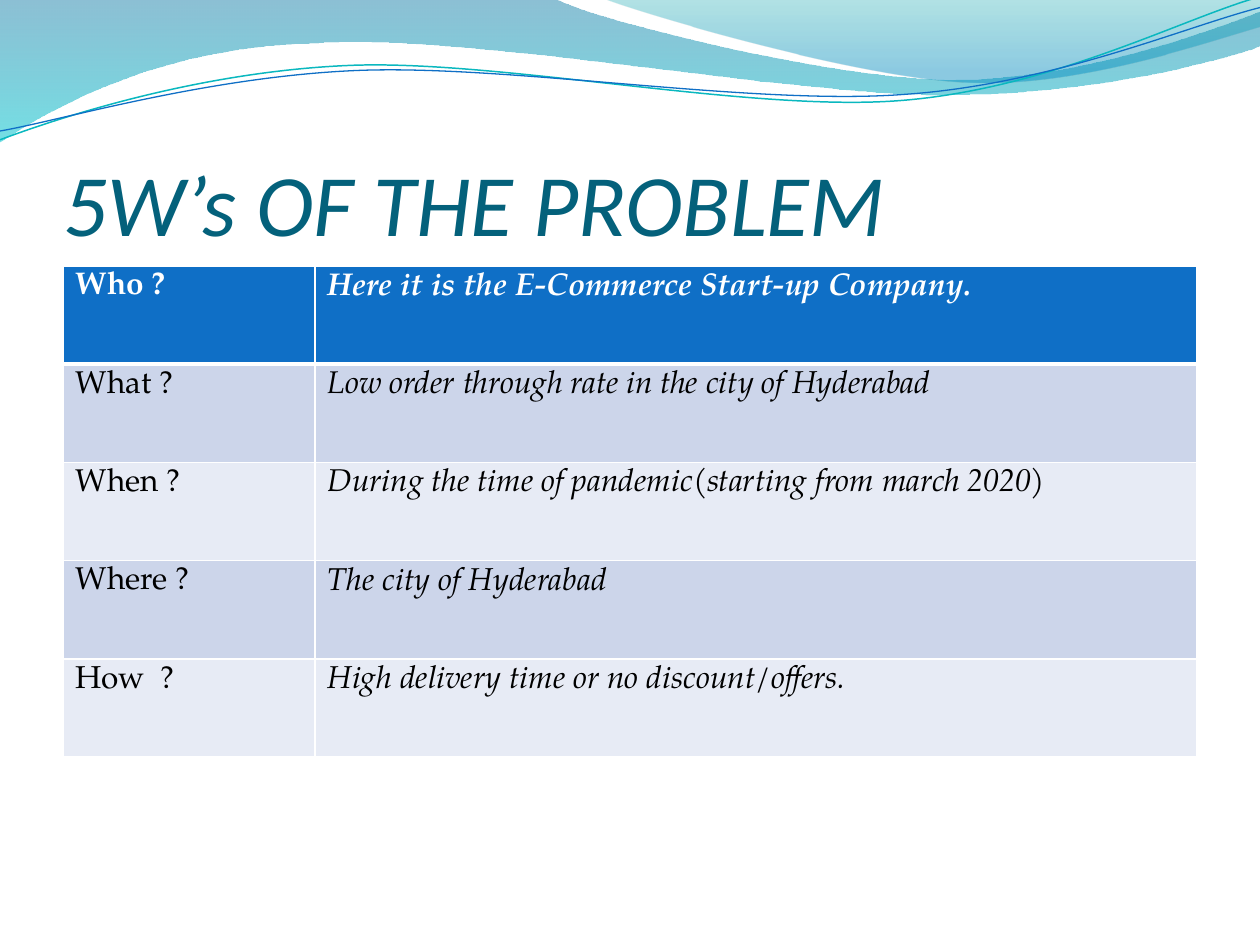
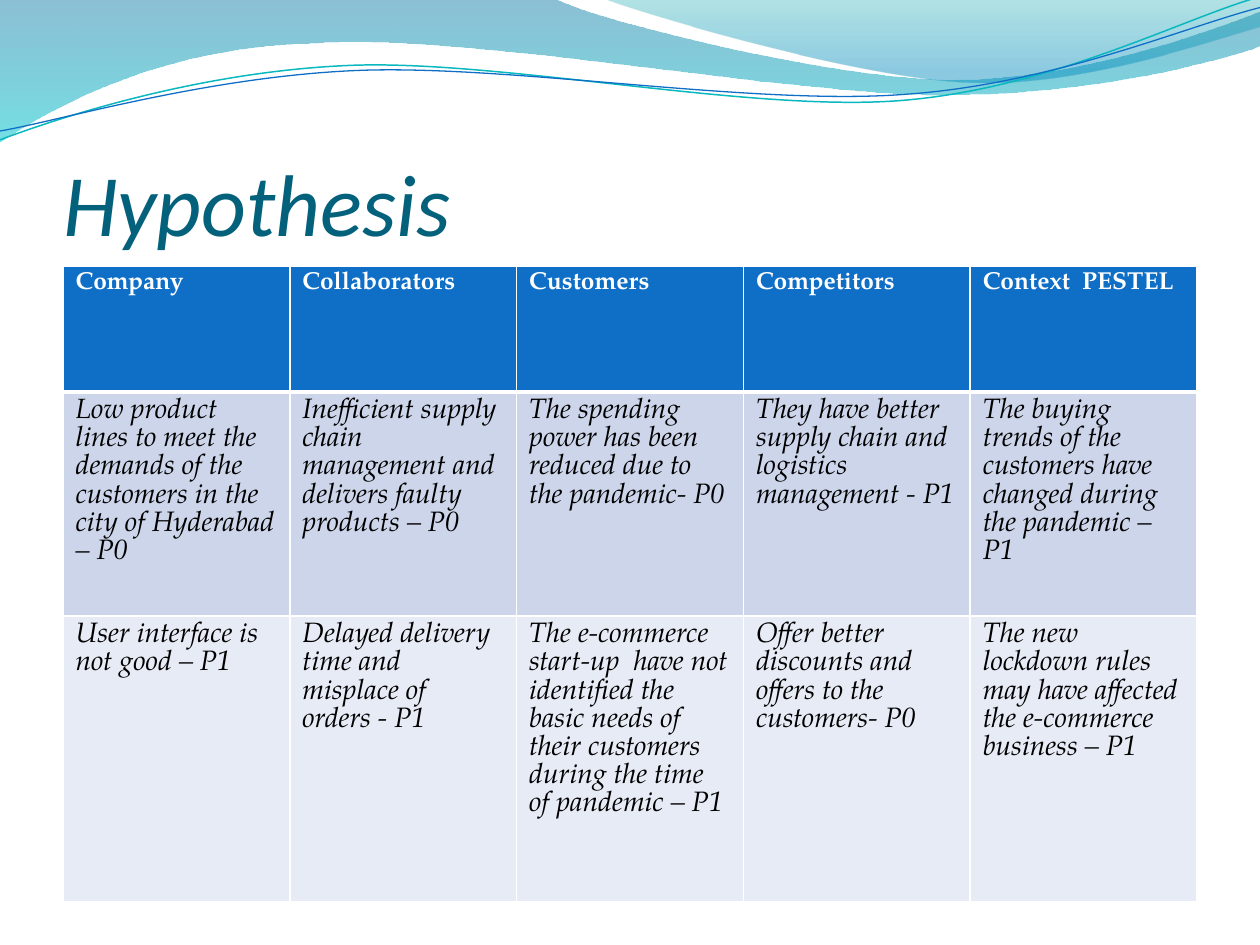
import lxml.etree
import pptx
import pptx.dml.color
import pptx.enum.text
import pptx.oxml.ns
import pptx.util

Inches = pptx.util.Inches
Pt = pptx.util.Pt
qn = pptx.oxml.ns.qn

TEXT = "TeX Gyre Pagella"
BLUE, TEAL, INK, WHITE, BLACK = "0F6FC6", "0AB8BF", "04617B", "FFFFFF", "000000"
BANDS = ["CCD5EA", "E7EBF5"]
HARD = chr(160)  # no-break space

# A wave starts at a point; two numbers add a line, six add a curve.
WAVES = [
    {"start": (0, 0), "steps": [
        (4.4, -0.01),
        (4.76, 0.17, 6.64, 0.63, 7.58, 0.63),
        (8.53, 0.63, 9.58, 0.26, 10, 0.09),
        (10.01, 0.36),
        (9.83, 0.44, 8.7, 0.76, 7.46, 0.75),
        (6.22, 0.75, 3.82, 0.28, 2.57, 0.34),
        (1.29, 0.36, 0.46, 0.83, -0.01, 1.13),
        (0, 0)],
     "stops": [(0, "0074A1", 45), (1, "00C6CF", 55)]},
    {"start": (4.79, -0.01), "steps": [
        (5.09, 0.11, 6.82, 0.62, 7.69, 0.65),
        (8.56, 0.69, 9.61, 0.32, 10, 0.21),
        (10, 0),
        (4.79, -0.01)],
     "stops": [(0, "00A1A9", 30), (0.8, "008BBF", 45)]},
    {"start": (0, 1.11), "steps": [
        (0.48, 0.93, 1.58, 0.57, 2.77, 0.52),
        (3.95, 0.47, 5.93, 0.89, 7.13, 0.8),
        (8.33, 0.71, 9.38, 0.15, 9.98, -0.02)],
     "line": (TEAL, 0.85)},
    {"start": (0, 1.04), "steps": [
        (0.47, 0.96, 1.64, 0.61, 2.83, 0.56),
        (4.03, 0.51, 5.97, 0.84, 7.17, 0.75),
        (8.36, 0.67, 9.41, 0.21, 10, 0.06)],
     "line": (BLUE, 0.75)},
]

FIVE = [
    ["Who ?", "Here it is the E-Commerce Start-up Company."],
    ["What ?", f"Low order through rate{HARD}in the city of Hyderabad"],
    ["When ?", "During the time of pandemic(starting from march 2020)"],
    ["Where ?", "The city of Hyderabad"],
    ["How  ?", "High delivery time or no discount/offers."],
]
CAUSES = [
    ["Company", "Collaborators", "Customers", "Competitors", "Context  PESTEL"],
    ["Low product lines to meet the demands of the customers in the city of Hyderabad – P0",
     "Inefficient supply chain management and delivers faulty products – P0",
     "The spending power has been reduced due to the pandemic- P0",
     f"They have better supply chain and logistics management{HARD}- P1",
     "The buying trends of the customers have changed during the pandemic – P1"],
    ["User interface is not good – P1",
     f"Delayed delivery time and misplace of orders{HARD}- P1",
     "The e-commerce start-up  have not identified the basic needs of  "
     "their customers during the time of pandemic – P1",
     "Offer better discounts and offers to the customers- P0",
     "The new lockdown rules may have affected the e-commerce business – P1"],
]


def rgb(code):
    return pptx.dml.color.RGBColor.from_string(code)


def apply(thing, values):
    for name, value in values.items():
        setattr(thing, name, value)


def bend(shape, steps):
    """Join each three segments that stand for a curve into one curve."""
    nodes = iter(list(shape.element.iter(qn("a:lnTo"))))
    for step in steps:
        node = next(nodes)
        if len(step) == 6:
            node.tag = qn("a:cubicBezTo")
            for other in (next(nodes), next(nodes)):
                node.append(other[0])
                other.getparent().remove(other)


class Deck:
    def __init__(self):
        self.prs = pptx.Presentation()
        self.prs.slide_width, self.prs.slide_height = Inches(10), Inches(7.5)
        self.layout = self.prs.slide_layouts.get_by_name("Title Only")
        self.slide = None

    def page(self, title):
        first = self.slide is None
        self.slide = self.prs.slides.add_slide(self.layout)
        if first:
            self.banner()
        self.title(title)

    def banner(self):
        """Draw the waves and move them to the back of the shared layout."""
        tree = self.layout.element.cSld.spTree
        for i, data in enumerate(WAVES):
            item = self.wave(**data).element
            item.nvSpPr.cNvPr.set("id", str(20 + i))
            tree.insert(2 + i, item)

    def wave(self, start, steps, stops=None, line=None):
        pen = self.slide.shapes.build_freeform(*map(Inches, start))
        points = [step[i:i + 2] for step in steps for i in range(0, len(step), 2)]
        pen.add_line_segments([(Inches(x), Inches(y)) for x, y in points],
                              close=bool(stops))
        shape = pen.convert_to_shape()
        bend(shape, steps)
        shape.shadow.inherit = False
        if stops:
            self.shade(shape.fill, stops)
            shape.line.fill.background()
        else:
            shape.fill.background()
            shape.line.color.rgb = rgb(line[0])
            shape.line.width = Pt(line[1])
        return shape

    def shade(self, fill, stops):
        """Fill from top to bottom with see-through colours."""
        fill.gradient()
        fill.gradient_angle = 270
        for stop, (place, code, solid) in zip(fill.gradient_stops, stops):
            stop.position = place
            stop.color.rgb = rgb(code)
        grad = fill._xPr.find(qn("a:gradFill"))
        for node, (place, code, solid) in zip(grad.iter(qn("a:srgbClr")), stops):
            lxml.etree.SubElement(node, qn("a:alpha"), val=str(solid * 1000))

    def font(self, font, code, size, **values):
        apply(font, {"size": Pt(size), "name": TEXT, **values})
        font.color.rgb = rgb(code)

    def title(self, text):
        shape = self.slide.shapes.title
        apply(shape, {"left": Inches(0.5), "top": Inches(0.77),
                      "width": Inches(9), "height": Inches(1.25)})
        frame = shape.text_frame
        frame.text = text
        apply(frame, {"margin_left": 0, "margin_right": 0, "margin_bottom": 0,
                      "margin_top": Inches(0.05), "word_wrap": True,
                      "auto_size": pptx.enum.text.MSO_AUTO_SIZE.NONE,
                      "vertical_anchor": pptx.enum.text.MSO_ANCHOR.BOTTOM})
        para = frame.paragraphs[0]
        para.alignment = pptx.enum.text.PP_ALIGN.LEFT
        self.font(para.runs[0].font, INK, 50, name="Calibri", italic=True)

    def table(self, rows, widths, heights, sizes, slant):
        """Sizes are for head and body; slant(row, col) tells what is italic."""
        table = self.slide.shapes.add_table(
            len(rows), len(widths), Inches(0.5), Inches(2.11),
            Inches(sum(widths)), Inches(sum(heights))).table
        for col, width in zip(table.columns, widths):
            col.width = Inches(width)
        for row, height in zip(table.rows, heights):
            row.height = Inches(height)
        for r, row in enumerate(rows):
            for c, text in enumerate(row):
                cell = table.cell(r, c)
                cell.text = text
                head = r == 0
                self.font(cell.text_frame.paragraphs[0].runs[0].font,
                          WHITE if head else BLACK, sizes[0 if head else 1],
                          bold=head, italic=slant(r, c))
                cell.fill.solid()
                cell.fill.fore_color.rgb = rgb(BLUE if head else BANDS[(r - 1) % 2])
                self.edge(cell, {"L": 1, "R": 1, "T": 3 if r == 1 else 1,
                                 "B": 3 if head else 1})

    def edge(self, cell, sides):
        props = cell._tc.get_or_add_tcPr()
        for i, (side, width) in enumerate(sides.items()):
            line = lxml.etree.Element(qn("a:ln" + side), w=str(Pt(width)))
            fill = lxml.etree.SubElement(line, qn("a:solidFill"))
            lxml.etree.SubElement(fill, qn("a:srgbClr"), val=WHITE)
            props.insert(i, line)


def main():
    deck = Deck()
    deck.page("5W’s OF THE PROBLEM")
    deck.table(FIVE, [2, 7], [0.78] * 5, (18, 18), lambda r, c: c == 1)
    deck.page("Hypothesis")
    deck.table(CAUSES, [1.8] * 5, [1, 1.78, 2.27], (14, 16), lambda r, c: r > 0)
    deck.prs.save("out.pptx")


if __name__ == "__main__":
    main()
